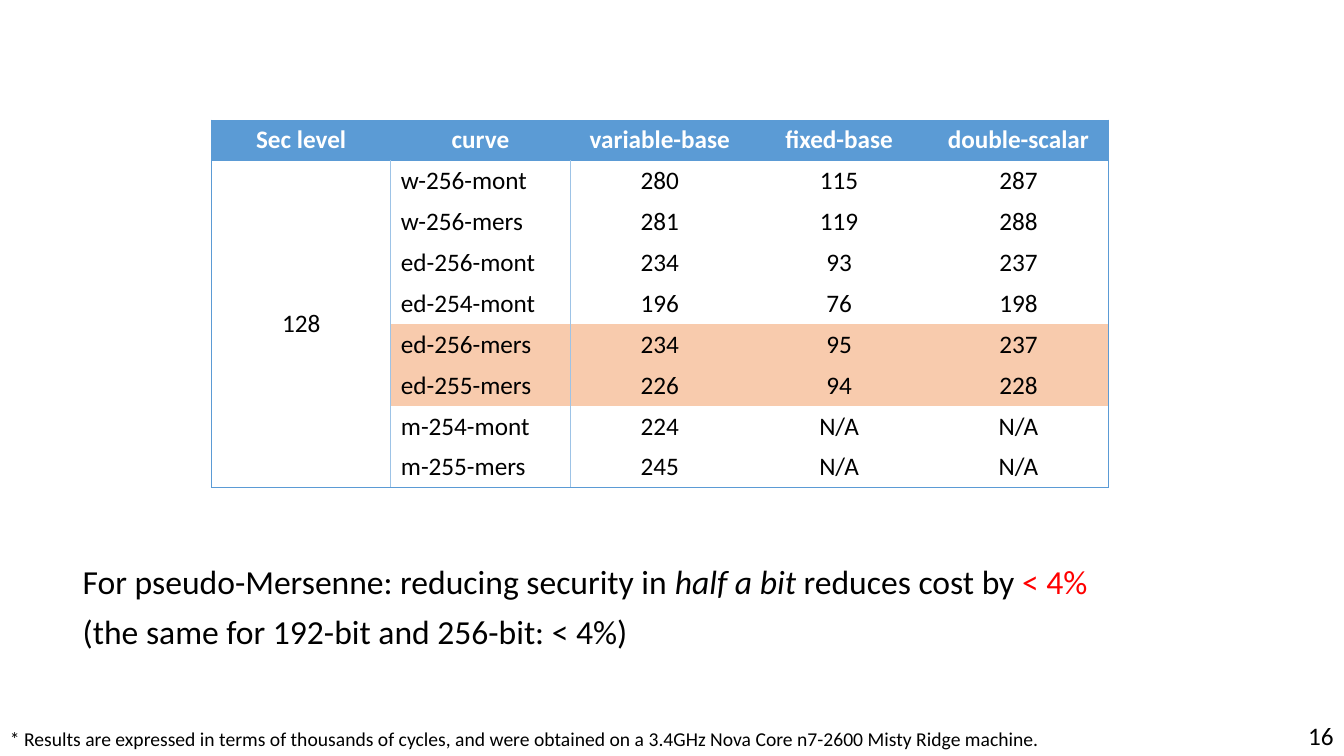
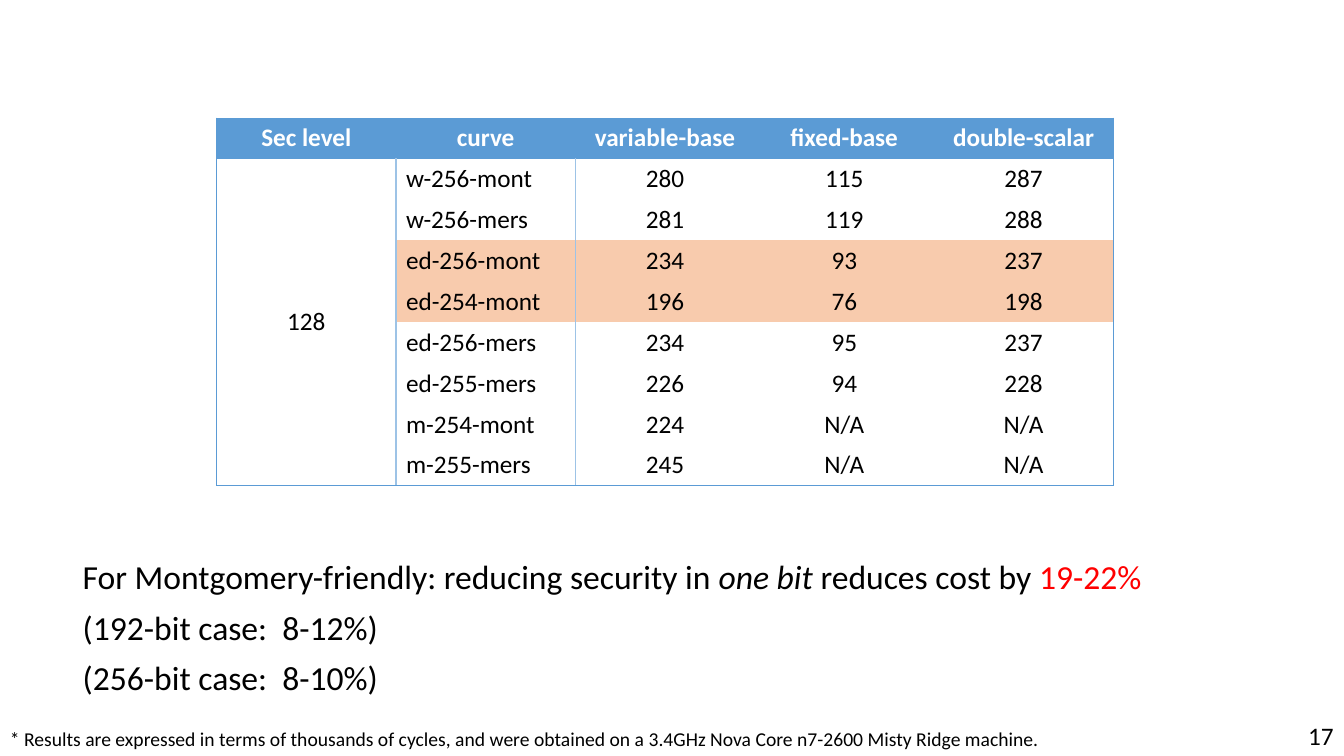
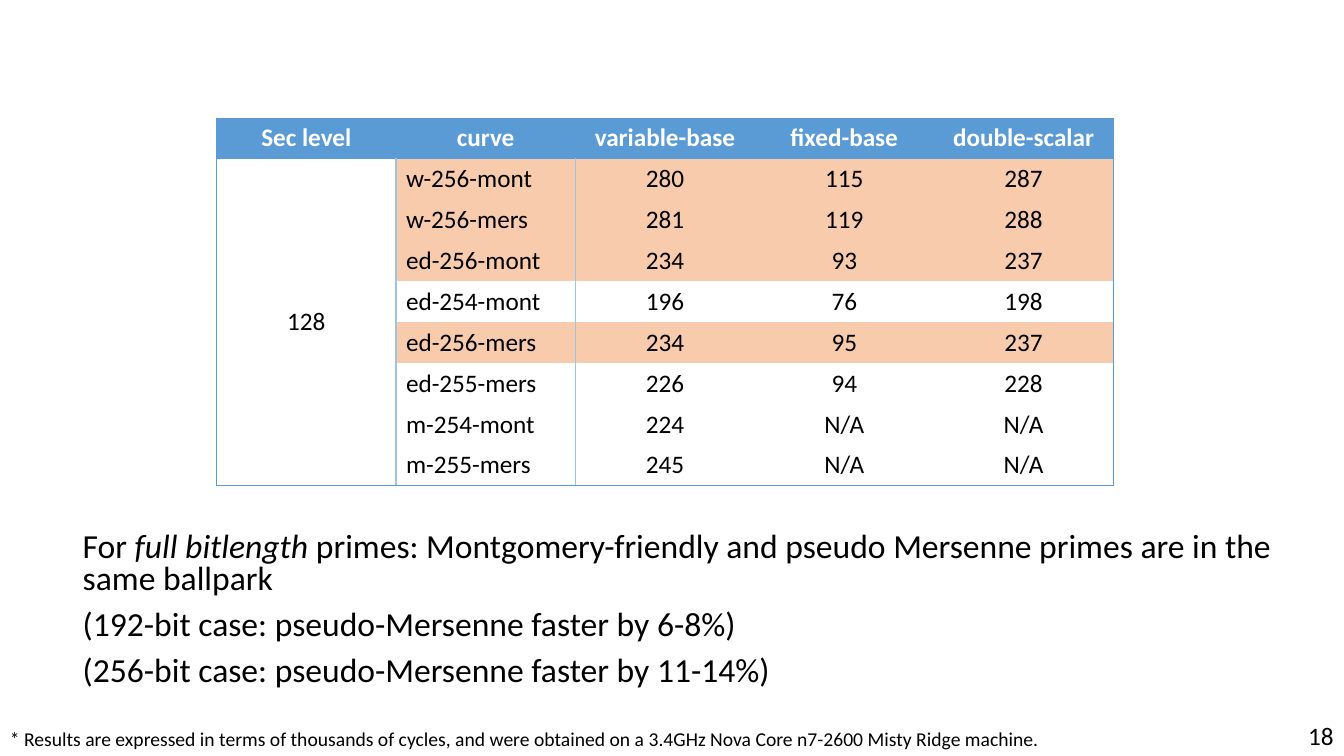
from dataclasses import dataclass

from lxml import etree
from pptx import Presentation
from pptx.dml.color import RGBColor
from pptx.enum.text import MSO_ANCHOR, MSO_AUTO_SIZE, PP_ALIGN
from pptx.oxml.ns import qn
from pptx.util import Cm, Pt

CENTER, LEFT = PP_ALIGN.CENTER, PP_ALIGN.LEFT
MIDDLE, BOTTOM = MSO_ANCHOR.MIDDLE, MSO_ANCHOR.BOTTOM
NO_FIT = MSO_AUTO_SIZE.NONE

FONT = "Calibri"
COLORS = {
    "text": "000000",
    "paper": "FFFFFF",
    "header": "5B9BD5",
    "divider": "9DC3E6",
    "highlight": "F8CBAD",
    "alert": "FF0000",
}
COLUMN_WIDTH, ROW_HEIGHT = 4.52, 1.03
FIRST_PAGE = 16
FOOTNOTE = (
    "* Results are expressed in terms of thousands of cycles, and were obtained "
    "on a 3.4GHz Nova Core n7-2600 Misty Ridge machine."
)
SECURITY_LEVEL = "128"
HEADINGS = ("Sec level", "curve", "variable-base", "fixed-base", "double-scalar")
TIMINGS = (
    ("w-256-mont", "280", "115", "287"),
    ("w-256-mers", "281", "119", "288"),
    ("ed-256-mont", "234", "93", "237"),
    ("ed-254-mont", "196", "76", "198"),
    ("ed-256-mers", "234", "95", "237"),
    ("ed-255-mers", "226", "94", "228"),
    ("m-254-mont", "224", "N/A", "N/A"),
    ("m-255-mers", "245", "N/A", "N/A"),
)


@dataclass(frozen=True)
class Span:
    """A piece of text with its own look."""

    text: str
    size: float = 24
    color: str = "text"
    bold: bool = False
    italic: bool = False


@dataclass(frozen=True)
class Page:
    """What differs from one slide to the next; lengths in centimetres."""

    highlighted: tuple[str, ...]
    remarks: tuple[tuple[Span, ...], ...]
    table_left: float = 5.46
    table_top: float = 2.97
    body_top: float = 3.94
    body_height: float = 13.94
    bottom_inset: float = 0.3
    line_spacing: float = 0.9


PAGES = (
    Page(
        highlighted=("ed-256-mers", "ed-255-mers"),
        remarks=(
            (
                Span("For pseudo-Mersenne: reducing security in "),
                Span("half a bit", italic=True),
                Span(" reduces cost by "),
                Span("< 4%", color="alert"),
            ),
            (Span("(the same for 192-bit and 256-bit: < 4%)"),),
        ),
        table_left=5.33,
        table_top=3.02,
        body_top=0.41,
        body_height=17.48,
        bottom_inset=1.47,
    ),
    Page(
        highlighted=("ed-256-mont", "ed-254-mont"),
        remarks=(
            (
                Span("For Montgomery-friendly: reducing security in "),
                Span("one bit", italic=True),
                Span(" reduces cost by "),
                Span("19-22%", color="alert"),
            ),
            (Span("(192-bit case:  8-12%)"),),
            (Span("(256-bit case:  8-10%)"),),
        ),
    ),
    Page(
        highlighted=("w-256-mont", "w-256-mers", "ed-256-mont", "ed-256-mers"),
        remarks=(
            (
                Span("For "),
                Span("full bitlength", italic=True),
                Span(
                    " primes: Montgomery-friendly and pseudo Mersenne primes "
                    "are in the same ballpark"
                ),
            ),
            (Span("(192-bit case: pseudo-Mersenne faster by 6-8%)"),),
            (Span("(256-bit case: pseudo-Mersenne faster by 11-14%)"),),
        ),
        bottom_inset=0.51,
        line_spacing=0.8,
    ),
)


def add_span(para, span: Span) -> None:
    """Append one formatted run to a paragraph."""
    run = para.add_run()
    run.text = span.text
    font = run.font
    font.name, font.size = FONT, Pt(span.size)
    font.bold, font.italic = span.bold, span.italic
    font.color.rgb = RGBColor.from_string(COLORS[span.color])


def add_label(slide, left: float, top: float, width: float, height: float, span: Span) -> None:
    """Add a text box holding a single line."""
    box = slide.shapes.add_textbox(Cm(left), Cm(top), Cm(width), Cm(height))
    box.text_frame.word_wrap = False
    add_span(box.text_frame.paragraphs[0], span)


def fill_body(body, page: Page) -> None:
    """Place the remarks, without bullets, at the foot of the body."""
    body.left, body.top = Cm(1.83), Cm(page.body_top)
    body.width, body.height = Cm(30.61), Cm(page.body_height)
    frame = body.text_frame
    frame.word_wrap, frame.auto_size = True, NO_FIT
    frame.vertical_anchor = BOTTOM
    frame.margin_bottom = Cm(page.bottom_inset)
    for index, remark in enumerate(page.remarks):
        para = frame.add_paragraph() if index else frame.paragraphs[0]
        para.line_spacing, para.space_before = page.line_spacing, Pt(10)
        properties = para._p.get_or_add_pPr()
        properties.set("marL", "0")
        properties.set("indent", "0")
        etree.SubElement(properties, qn("a:buNone"))
        for span in remark:
            add_span(para, span)


def set_borders(cell, row: int, column: int) -> None:
    """Frame the table and divide the first columns below the header."""
    last_row, last_column = len(TIMINGS), len(HEADINGS) - 1
    outer, inner = ("header", 0.5), ("divider", 1)
    left = outer if column == 0 else inner if row and column <= 2 else None
    right = outer if column == last_column else inner if row and column <= 1 else None
    top = outer if row <= 1 else None
    reaches_bottom = row == last_row or (row == 1 and column == 0)
    bottom = outer if row == 0 or reaches_bottom else None
    properties = cell._tc.get_or_add_tcPr()
    edges = {"L": left, "R": right, "T": top, "B": bottom}
    for position, (side, border) in enumerate(edges.items()):
        line = etree.Element(qn(f"a:ln{side}"))
        if border:
            color, width = border
            line.set("w", str(Pt(width)))
            solid = etree.SubElement(line, qn("a:solidFill"))
            etree.SubElement(solid, qn("a:srgbClr"), val=COLORS[color])
        else:
            etree.SubElement(line, qn("a:noFill"))
        properties.insert(position, line)


def add_timings(slide, page: Page) -> None:
    """Add the table of timings with its highlighted curves."""
    rows = [HEADINGS]
    rows += [("" if index else SECURITY_LEVEL, *row) for index, row in enumerate(TIMINGS)]
    table = slide.shapes.add_table(
        len(rows), len(HEADINGS), Cm(page.table_left), Cm(page.table_top),
        Cm(COLUMN_WIDTH * len(HEADINGS)), Cm(ROW_HEIGHT * len(rows)),
    ).table
    for table_column in table.columns:
        table_column.width = Cm(COLUMN_WIDTH)
    for row, texts in enumerate(rows):
        table.rows[row].height = Cm(ROW_HEIGHT)
        marked = texts[1] in page.highlighted
        for column, text in enumerate(texts):
            cell = table.cell(row, column)
            fill = "header" if row == 0 else "highlight" if marked and column else "paper"
            cell.fill.solid()
            cell.fill.fore_color.rgb = RGBColor.from_string(COLORS[fill])
            set_borders(cell, row, column)
            para = cell.text_frame.paragraphs[0]
            para.alignment = LEFT if row and column == 1 else CENTER
            if text:
                color = "text" if row else "paper"
                add_span(para, Span(text, 18, color, bold=row == 0))
    level = table.cell(1, 0)
    level.merge(table.cell(len(TIMINGS), 0))
    level.vertical_anchor = MIDDLE


def add_page(deck, number: int, page: Page) -> None:
    """Build one slide: remarks, table, footnote and page number."""
    slide = deck.slides.add_slide(deck.slide_layouts[1])
    title = slide.shapes.title
    title.element.getparent().remove(title.element)
    fill_body(slide.placeholders[1], page)
    add_timings(slide, page)
    add_label(slide, 0, 18.19, 27.5, 0.86, Span(FOOTNOTE, 14))
    add_label(slide, 32.72, 18.03, 1.17, 1.02, Span(str(number), 18))


def main() -> None:
    """Build and save the deck."""
    deck = Presentation()
    deck.slide_width, deck.slide_height = Cm(33.87), Cm(19.05)
    for number, page in enumerate(PAGES, FIRST_PAGE):
        add_page(deck, number, page)
    deck.save("out.pptx")


main()
